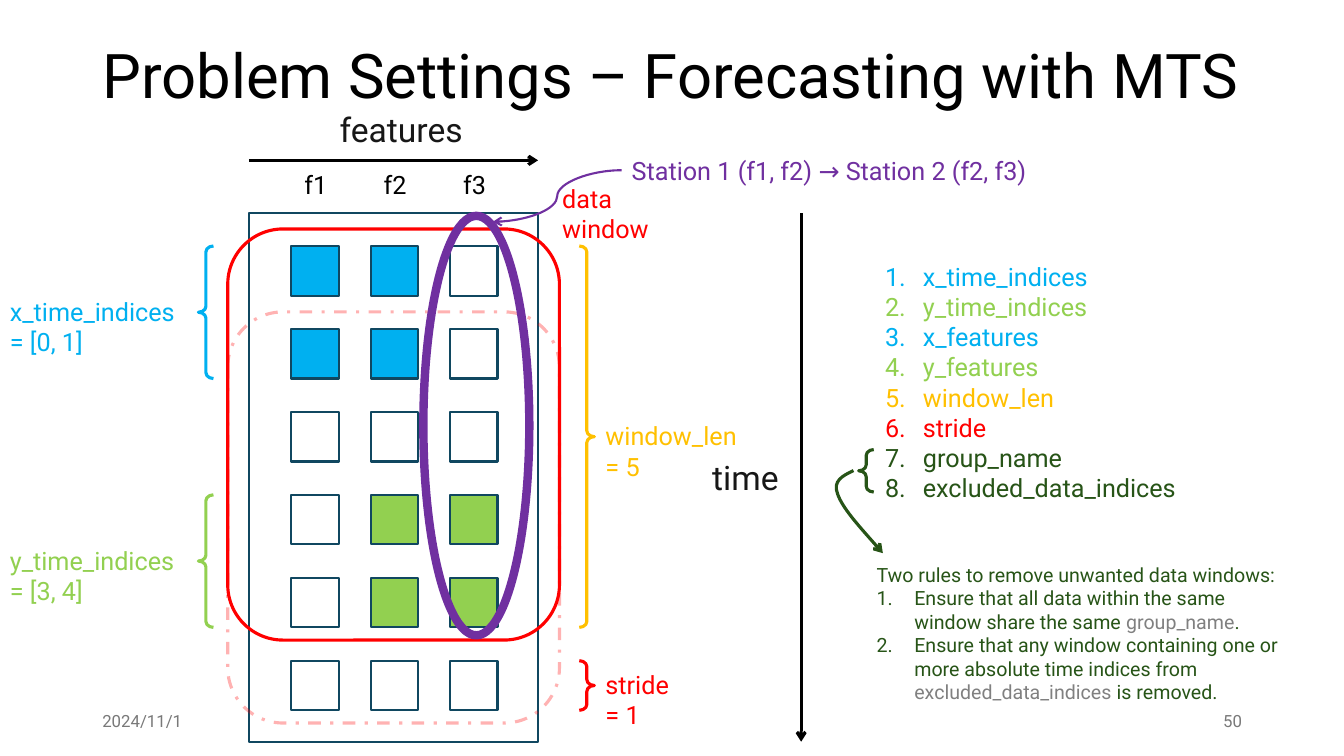
from dataclasses import dataclass
from lxml import etree
from pptx import Presentation
from pptx.dml.color import RGBColor
from pptx.enum.dml import MSO_LINE
from pptx.enum.shapes import MSO_CONNECTOR, MSO_SHAPE
from pptx.enum.text import MSO_ANCHOR, MSO_AUTO_SIZE, PP_ALIGN
from pptx.oxml.ns import qn
from pptx.util import Cm, Pt

RECT, ROUND, OVAL, BRACE = (MSO_SHAPE.RECTANGLE, MSO_SHAPE.ROUNDED_RECTANGLE,
                            MSO_SHAPE.OVAL, MSO_SHAPE.LEFT_BRACE)
STRAIGHT, CURVE = MSO_CONNECTOR.STRAIGHT, MSO_CONNECTOR.CURVE
TOP, MIDDLE = MSO_ANCHOR.TOP, MSO_ANCHOR.MIDDLE
LEFT, RIGHT = PP_ALIGN.LEFT, PP_ALIGN.RIGHT
DASH_DOT, NO_FIT = MSO_LINE.DASH_DOT, MSO_AUTO_SIZE.NONE


@dataclass(frozen=True)
class Theme:
    font: str = "Roboto"
    black: str = "000000"
    ink: str = "171717"
    grey: str = "797979"
    code: str = "808080"
    edge: str = "104760"
    blue: str = "00B0F0"
    lime: str = "92D050"
    gold: str = "FFC000"
    red: str = "FF0000"
    plum: str = "7030A0"
    green: str = "275417"
    title: int = 44
    axis: int = 24
    label: int = 18
    note: int = 14
    foot: int = 12
    thin: float = 1.5
    line: float = 2.25
    thick: float = 6


T = Theme()

TITLE = "Problem Settings – Forecasting with MTS"
TERMS = [("x_time_indices", T.blue), ("y_time_indices", T.lime),
         ("x_features", T.blue), ("y_features", T.lime),
         ("window_len", T.gold), ("stride", T.red),
         ("group_name", T.green), ("excluded_data_indices", T.green)]
INTRO = [("Two rules to remove unwanted data windows:", T.green)]
RULES = [
    [("Ensure that all data within the same window share the same ", T.green),
     ("group_name", T.code), (".", T.green)],
    [("Ensure that any window containing one or more absolute time indices from ", T.green),
     ("excluded_data_indices ", T.code), ("is removed.", T.green)],
]
HEADS = ["f1", "f2", "f3"]
CELLS = ["xx.", "xx.", "...", ".yy", ".yy", "..."]
FILLS = {"x": T.blue, "y": T.lime, ".": None}
SPANS = [
    (0, 1, "left", T.blue, ["x_time_indices", "= [0, 1]"]),
    (0, 4, "right", T.gold, ["window_len", "= 5"]),
    (5, 5, "right", T.red, ["stride", "= 1"]),
    (3, 4, "left", T.lime, ["y_time_indices", "= [3, 4]"]),
]
LABELS = [
    ("2024/11/1", (2.33, 17.65, 7.62, 1.02), T.foot, T.grey, LEFT, MIDDLE),
    ("50", (23.93, 17.65, 7.62, 1.02), T.foot, T.grey, RIGHT, MIDDLE),
    ("time", (17.7, 11.38, 2.26, 1.27), T.axis, T.ink, LEFT, TOP),
    ("features", (8.31, 2.62, 4.17, 1.27), T.axis, T.ink, LEFT, TOP),
    ("data window", (13.92, 4.5, 2.87, 1.8), T.label, T.red, LEFT, TOP),
    ("Station 1 (f1, f2) → Station 2 (f2, f3)", (15.67, 3.78, 11.35, 1.02),
     T.label, T.plum, LEFT, TOP),
]
ARROWS = [
    (STRAIGHT, (6.27, 4.04, 13.56, 4.04), T.black, T.line),
    (STRAIGHT, (20.19, 5.37, 20.19, 18.69), T.black, T.line),
    (CURVE, (15.67, 4.29, 12.42, 5.59), T.plum, T.thin),
]
BEND = [(21.51, 11.86), (21.23, 11.99), (20.98, 12.12), (21.11, 12.45),
        (21.23, 12.8), (21.74, 13.36), (22.25, 13.94)]
GRID_X, GRID_Y, STEP_X, STEP_Y = 7.34, 6.2, 2, 2.09
CELL_W, CELL_H = 1.2, 1.25
BRACE_W = 0.38


def stroke(shape, color, width):
    shape.line.color.rgb = RGBColor.from_string(color)
    shape.line.width = Pt(width)


def add_tip(shape):
    ln = shape.element.spPr.find(qn("a:ln"))
    etree.SubElement(ln, qn("a:tailEnd"), type="arrow")


def draw(kind, box, color, width, fill=None):
    shape = shapes.add_shape(kind, *map(Cm, box))
    shape.shadow.inherit = False
    stroke(shape, color, width)
    if fill:
        shape.fill.solid()
        shape.fill.fore_color.rgb = RGBColor.from_string(fill)
    else:
        shape.fill.background()
    return shape


def draw_brace(box, color, flip=False):
    brace = draw(BRACE, box, color, T.line)
    brace.adjustments[0] = 0.392
    if flip:
        brace.element.spPr.find(qn("a:xfrm")).set("flipH", "1")


def write(frame, lines, size, first=None, align=LEFT):
    for i, runs in enumerate(lines):
        para = frame.paragraphs[0] if i == 0 else frame.add_paragraph()
        para.alignment = align
        para.space_before = Pt(0)
        if first is not None and i >= first:
            props = para._p.get_or_add_pPr()
            props.set("marL", "342900")
            props.set("indent", "-342900")
            etree.SubElement(props, qn("a:buAutoNum"), type="arabicPeriod")
        for text, color in runs:
            run = para.add_run()
            run.text = text
            run.font.name = T.font
            run.font.size = Pt(size)
            run.font.color.rgb = RGBColor.from_string(color)


def add_text(lines, box, size, align=LEFT, anchor=TOP, first=None, wrap=True):
    frame = shapes.add_textbox(*map(Cm, box)).text_frame
    frame.word_wrap = wrap
    frame.vertical_anchor = anchor
    write(frame, lines, size, first, align)


def place(holder, box):
    holder.left, holder.top, holder.width, holder.height = map(Cm, box)
    frame = holder.text_frame
    frame.auto_size = NO_FIT
    frame.vertical_anchor = TOP
    return frame


deck = Presentation()
deck.slide_width, deck.slide_height = Cm(33.87), Cm(19.05)
slide = deck.slides.add_slide(deck.slide_layouts[1])
shapes = slide.shapes

frame = place(shapes.title, (2.33, 1.01, 29.21, 3.68))
write(frame, [[(TITLE, T.black)]], T.title)
frame.paragraphs[0].line_spacing = 0.9
frame = place(slide.placeholders[1], (22.05, 6.45, 8.53, 6.4))
write(frame, [[term] for term in TERMS], T.label, 0)

draw(RECT, (6.28, 5.37, 7.27, 13.33), T.edge, T.thin)
for row, marks in enumerate(CELLS):
    for col, mark in enumerate(marks):
        box = (GRID_X + col * STEP_X, GRID_Y + row * STEP_Y, CELL_W, CELL_H)
        draw(RECT, box, T.edge, T.thin, FILLS[mark])
for col, head in enumerate(HEADS):
    add_text([[(head, T.black)]], (7.42 + col * STEP_X, 4.14, 1.3, 1.02), T.label)

draw(ROUND, (5.74, 5.77, 8.36, 10.36), T.red, T.line)
ghost = draw(ROUND, (5.74, 5.77 + STEP_Y, 8.36, 10.36), T.red, T.line)
ghost.line.dash_style = DASH_DOT
tint = ghost.element.spPr.find(qn("a:ln")).find(".//" + qn("a:srgbClr"))
etree.SubElement(tint, qn("a:alpha"), val="30000")

for start, end, side, color, words in SPANS:
    top = GRID_Y + start * STEP_Y
    high = (end - start) * STEP_Y + CELL_H
    brace_x, text_x = (5, 0) if side == "left" else (14.6, 15.01)
    draw_brace((brace_x, top, BRACE_W, high), color, side == "right")
    add_text([[(word, color)] for word in words],
             (text_x, top + high / 2 - 0.53, 5, 1.8), T.label, wrap=False)

draw(OVAL, (10.67, 5.44, 2.67, 10.57), T.plum, T.thick)
for text, box, size, color, align, anchor in LABELS:
    add_text([[(text, color)]], box, size, align, anchor)
for kind, ends, color, width in ARROWS:
    arrow = shapes.add_connector(kind, *map(Cm, ends))
    stroke(arrow, color, width)
    etree.SubElement(arrow.element.spPr, qn("a:effectLst"))
    add_tip(arrow)

draw_brace((21.64, 11.33, BRACE_W, 1.07), T.green)
add_text([INTRO, *RULES], (21.84, 14.05, 11.1, 3.84), T.note, first=1)

points = [(Cm(x), Cm(y)) for x, y in BEND]
pen = shapes.build_freeform(*points[0])
pen.add_line_segments(points[1:], close=False)
bend = pen.convert_to_shape()
bend.shadow.inherit = False
bend.fill.background()
stroke(bend, T.green, T.line)
add_tip(bend)
legs = list(bend.element.spPr.iter(qn("a:lnTo")))
for i in range(0, len(legs), 3):
    cubic = etree.SubElement(legs[i].getparent(), qn("a:cubicBezTo"))
    for leg in legs[i:i + 3]:
        cubic.append(leg[0])
        leg.getparent().remove(leg)

deck.save("out.pptx")
